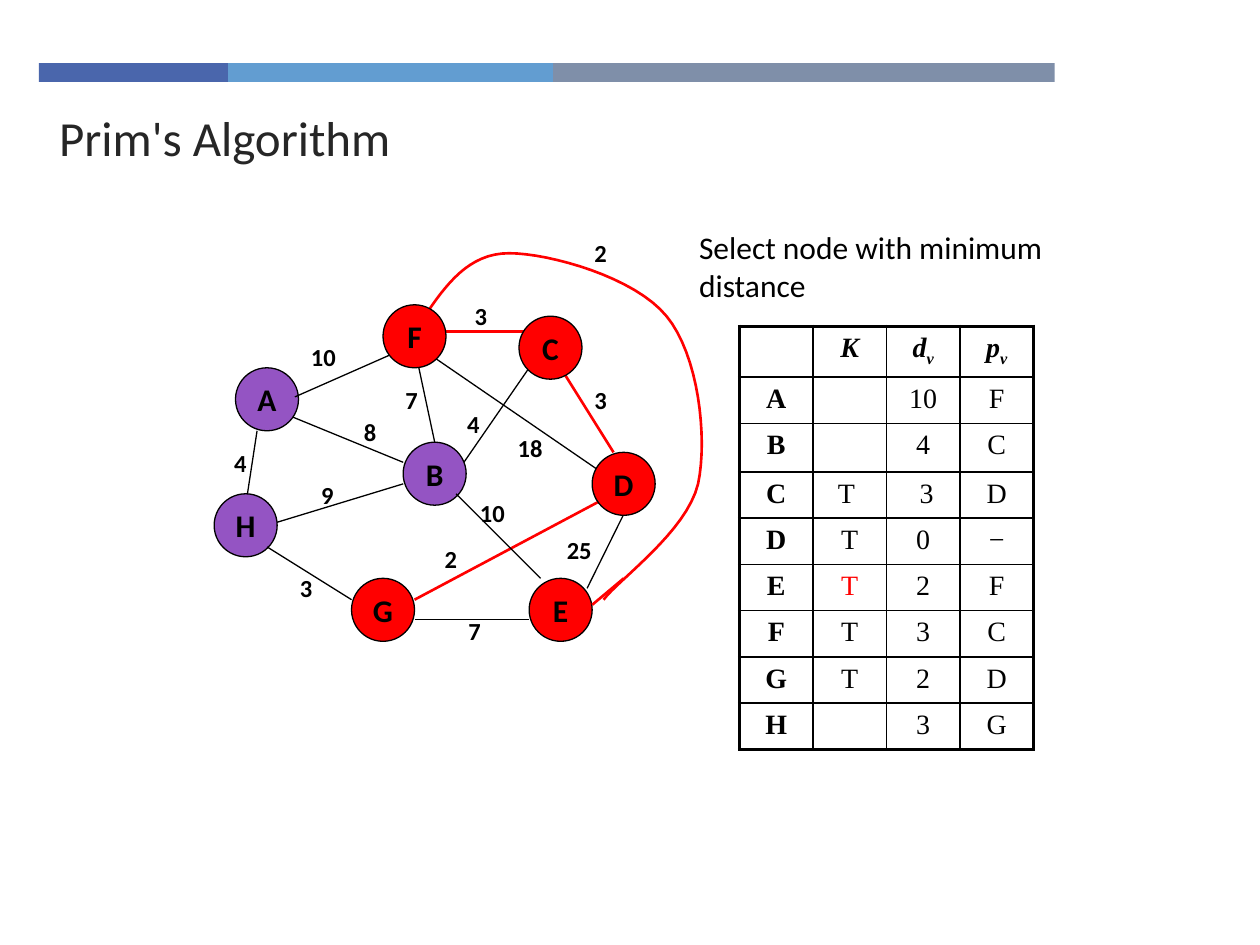
import pptx
import pptx.util
import pptx.dml.color
import pptx.enum.shapes
import pptx.enum.text
import pptx.oxml
import pptx.oxml.ns

Pt = pptx.util.Pt
ALIGN = pptx.enum.text.PP_ALIGN
ANCHOR = pptx.enum.text.MSO_ANCHOR
SHAPE = pptx.enum.shapes.MSO_SHAPE

THEME = {
    "sans": "Calibri", "serif": "Times New Roman",
    "ink": "000000", "title": "262626", "open": "9454C3", "known": "FF0000",
    "title_size": 28, "note_size": 18, "node_size": 18, "label_size": 14, "cell_size": 16,
    "thin": 0.75, "thick": 1.5, "cell_line": 1, "frame_line": 2.25,
}

TITLE = "Prim's Algorithm"
NOTE = "Select node with minimum distance"
BARS = [(108, "4A66AC"), (185.8, "629DD1"), (286.6, "7F8FA9")]

NODE_SIZE = 36
NODES = [
    ("A", 134.6, 210.2, "open"), ("H", 122.4, 282.2, "open"), ("B", 230.4, 252.7, "open"),
    ("F", 218.9, 174.2, "known"), ("E", 302.4, 330.5, "known"), ("D", 338.4, 258.5, "known"),
    ("C", 296.6, 180.7, "known"), ("G", 200.9, 330.5, "known"),
]
EDGES_BELOW = [
    (365, 276.5, 335.5, 336.2, "ink"), (236.9, 198.7, 248.4, 252.7, "ink"),
    (260.6, 270.7, 302.4, 210.2, "ink"), (344.9, 270.7, 248.4, 204.5, "ink"),
    (152.6, 300.2, 230.4, 276.5, "ink"), (236.9, 342.7, 350.6, 282.2, "known"),
    (140.4, 288.7, 146.9, 246.2, "ink"), (158.4, 234.7, 230.4, 264.2, "ink"),
    (252, 189.4, 308.9, 189.4, "known"), (320.4, 210.2, 350.6, 258.5, "known"),
]
EDGES_ABOVE = [
    (260.6, 282.2, 308.9, 330.5, "ink"), (302.4, 354.2, 236.9, 354.2, "ink"),
    (200.9, 342.7, 152.6, 312.5, "ink"), (168.5, 226.8, 222.5, 203, "ink"),
    (356.4, 330.5, 338.4, 345.6, "known"),
]
ARC_START = (242.6, 180.7)
ARC = [
    ((254.9, 162.7), (267.8, 144.7), (290.9, 144.7)),
    ((313.9, 144.7), (362.9, 158.4), (380.9, 180.7)),
    ((398.9, 202.3), (404.6, 249.8), (398.9, 276.5)),
    ((392.4, 303.8), (353.5, 331.2), (344.9, 342.7)),
]
ARC_STEPS = 16
WEIGHTS = [
    ("4", 126.7, 252.7), ("25", 316.8, 302.4), ("7", 260.6, 348.5), ("2", 247, 307.4),
    ("10", 267.1, 280.8), ("18", 288.7, 244.1), ("3", 332.6, 216.7), ("4", 259.9, 230.4),
    ("3", 264.2, 168.5), ("7", 224.6, 216.7), ("8", 200.9, 234.7), ("9", 176.4, 270.7),
    ("3", 164.2, 324), ("10", 170.6, 192.2), ("2", 332.6, 132.5),
]
HEADER = [("", ""), ("K", ""), ("d", "v"), ("p", "v")]
ROWS = [
    ("A", "", "10", "F"), ("B", "", "4", "C"), ("C", "T ", " 3", "D"), ("D", "T", "0", "−"),
    ("E", "T", "2", "F"), ("F", "T", "3", "C"), ("G", "T", "2", "D"), ("H", "", "3", "G"),
]
NEWEST = (5, 1)
COL_WIDTH = 42
ROW_HEIGHTS = [29, 26.4, 27.7] + [26.4] * 6


def rgb(name):
    return pptx.dml.color.RGBColor.from_string(THEME.get(name, name))


def set_font(p, face, size, color="ink", bold=False, italic=False):
    p.font.name, p.font.size = THEME[face], Pt(THEME[size])
    p.font.bold, p.font.italic = bold, italic
    p.font.color.rgb = rgb(color)


def add_text(s, text, x, y, w, h, size, bold=False):
    tf = s.shapes.add_textbox(Pt(x), Pt(y), Pt(w), Pt(h)).text_frame
    tf.word_wrap = True
    tf.text = text
    set_font(tf.paragraphs[0], "sans", size, bold=bold)


def add_filled(s, kind, x, y, w, h, color):
    sp = s.shapes.add_shape(kind, Pt(x), Pt(y), Pt(w), Pt(h))
    sp.shadow.inherit = False
    sp.fill.solid()
    sp.fill.fore_color.rgb = rgb(color)
    sp.line.fill.background()
    return sp


def set_line(line, color, width):
    line.color.rgb = rgb(color)
    line.width = Pt(THEME[width])


def add_edges(s, edges):
    for x1, y1, x2, y2, color in edges:
        c = s.shapes.add_connector(pptx.enum.shapes.MSO_CONNECTOR.STRAIGHT,
                                   Pt(x1), Pt(y1), Pt(x2), Pt(y2))
        set_line(c.line, color, "thick" if color == "known" else "thin")
        c._element.spPr.append(pptx.oxml.parse_xml(
            f'<a:effectLst {pptx.oxml.ns.nsdecls("a")}/>'))


def add_arc(s):
    points, p0 = [], ARC_START
    for p1, p2, p3 in ARC:
        for i in range(1, ARC_STEPS + 1):
            t = i / ARC_STEPS
            u = 1 - t
            points.append(tuple(
                Pt(u**3 * a + 3 * u * u * t * b + 3 * u * t * t * c + t**3 * d)
                for a, b, c, d in zip(p0, p1, p2, p3)))
        p0 = p3
    fb = s.shapes.build_freeform(Pt(ARC_START[0]), Pt(ARC_START[1]))
    fb.add_line_segments(points, close=False)
    sp = fb.convert_to_shape()
    sp.shadow.inherit = False
    sp.fill.background()
    set_line(sp.line, "known", "thick")


def add_nodes(s):
    for name, x, y, state in NODES:
        sp = add_filled(s, SHAPE.OVAL, x, y, NODE_SIZE, NODE_SIZE, state)
        set_line(sp.line, "ink", "thin")
        tf = sp.text_frame
        tf.word_wrap = False
        tf.vertical_anchor = ANCHOR.MIDDLE
        tf.text = name
        tf.paragraphs[0].alignment = ALIGN.CENTER
        set_font(tf.paragraphs[0], "sans", "node_size", bold=True)


def set_borders(cell, outer):
    for i, side in enumerate("LRTB"):
        width = THEME["frame_line" if side in outer else "cell_line"]
        cell._tc.get_or_add_tcPr().insert(i, pptx.oxml.parse_xml(
            f'<a:ln{side} {pptx.oxml.ns.nsdecls("a")} w="{Pt(width)}"><a:solidFill>'
            f'<a:srgbClr val="{THEME["ink"]}"/></a:solidFill></a:ln{side}>'))


def add_distances(s, x, y):
    n_rows, n_cols = len(ROWS) + 1, len(HEADER)
    table = s.shapes.add_table(n_rows, n_cols, Pt(x), Pt(y), Pt(COL_WIDTH * n_cols),
                               Pt(sum(ROW_HEIGHTS))).table
    table.first_row = table.horz_banding = False
    for col in table.columns:
        col.width = Pt(COL_WIDTH)
    for row, height in zip(table.rows, ROW_HEIGHTS):
        row.height = Pt(height)
    grid = [HEADER] + [[(text, "") for text in row] for row in ROWS]
    for i, row in enumerate(grid):
        for j, (text, subscript) in enumerate(row):
            cell = table.cell(i, j)
            cell.fill.background()
            edges = {"T": i == 0, "B": i == n_rows - 1, "L": j == 0, "R": j == n_cols - 1}
            set_borders(cell, [side for side, is_outer in edges.items() if is_outer])
            p = cell.text_frame.paragraphs[0]
            p.alignment = ALIGN.CENTER
            set_font(p, "serif", "cell_size", "known" if (i, j) == NEWEST else "ink",
                     bold=i == 0 or j == 0, italic=i == 0)
            if text:
                p.add_run().text = text
            else:
                p._p.get_or_add_endParaRPr().set("sz", str(THEME["cell_size"] * 100))
            if subscript:
                r = p.add_run()
                r.text = subscript
                r.font._element.set("baseline", "-25000")


def main():
    prs = pptx.Presentation()
    prs.slide_width, prs.slide_height = Pt(720), Pt(540)
    s = prs.slides.add_slide(prs.slide_layouts[5])

    title = s.shapes.title
    title.left, title.top, title.width, title.height = Pt(26.6), Pt(57.6), Pt(515.5), Pt(38.9)
    title.text_frame.text = TITLE
    title.text_frame.vertical_anchor = ANCHOR.TOP
    title.text_frame.paragraphs[0].alignment = ALIGN.LEFT
    set_font(title.text_frame.paragraphs[0], "sans", "title_size", "title")

    x = 22.3
    for width, color in BARS:
        add_filled(s, SHAPE.RECTANGLE, x, 36, width, 10.8, color)
        x += width

    add_arc(s)
    add_edges(s, EDGES_BELOW)
    add_nodes(s)
    add_edges(s, EDGES_ABOVE)
    for text, x, y in WEIGHTS:
        add_text(s, text, x, y, 24 if len(text) == 1 else 37.4, 23.8, "label_size", bold=True)
    add_text(s, NOTE, 392.4, 126.7, 228.2, 55.4, "note_size")
    add_distances(s, 422.6, 186.5)
    prs.save("out.pptx")


if __name__ == "__main__":
    main()
